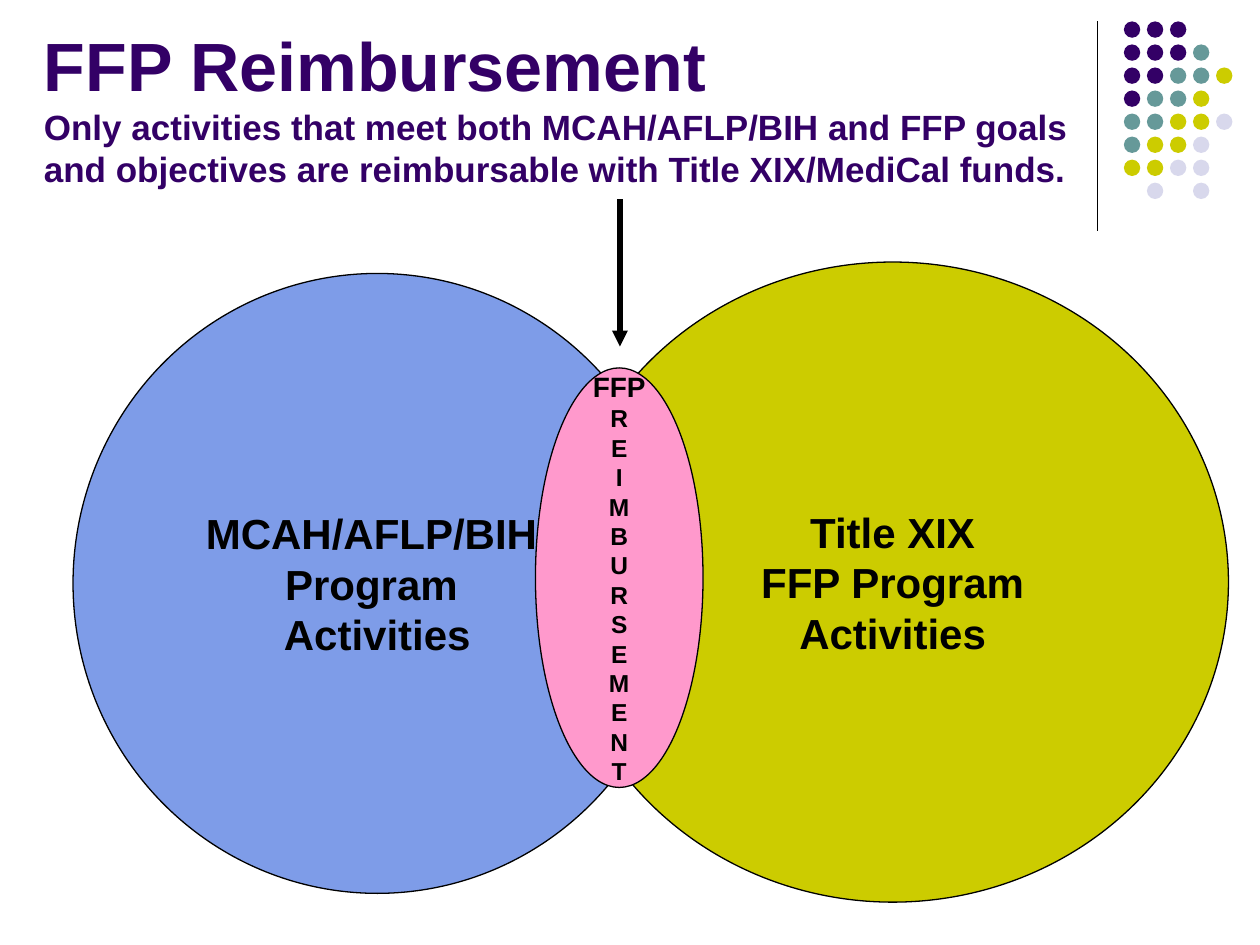
from pptx import Presentation
from pptx.dml.color import RGBColor
from pptx.enum.shapes import MSO_CONNECTOR, MSO_SHAPE
from pptx.enum.text import MSO_ANCHOR, PP_ALIGN
from pptx.oxml.ns import qn
from pptx.util import Inches, Pt
from lxml import etree

OVAL = MSO_SHAPE.OVAL
LINE = MSO_CONNECTOR.STRAIGHT
MIDDLE, BOTTOM = MSO_ANCHOR.MIDDLE, MSO_ANCHOR.BOTTOM
CENTER = PP_ALIGN.CENTER

BLACK, PURPLE, TEAL, OLIVE = "000000", "330066", "669999", "CCCC00"
LILAC, BLUE, PINK = "D8D8EC", "7E9CE8", "FF99CC"

# One letter per dot colour; a space leaves a gap
DOTS = ["PPP", "PPPT", "PPTTO", "PTTO", "TTOOL", "TOOL", "OOLL", " L L"]
HUES = {"P": PURPLE, "T": TEAL, "O": OLIVE, "L": LILAC}
STEP = 1.28 / 7


def color(code):
    return RGBColor.from_string(code)


def style(font, size, code):
    for key, value in {"name": "Arial", "size": Pt(size), "bold": True}.items():
        setattr(font, key, value)
    font.color.rgb = color(code)


def add_oval(slide, box, fill, edge=None):
    oval = slide.shapes.add_shape(OVAL, *map(Inches, box))
    oval.shadow.inherit = False
    oval.fill.solid()
    oval.fill.fore_color.rgb = color(fill)
    if edge:
        oval.line.color.rgb = color(edge)
        oval.line.width = Pt(0.75)
    else:
        oval.line.fill.background()
    return oval


def add_label(oval, rows):
    """Write centred rows of (text, size) in an oval."""
    frame = oval.text_frame
    frame.word_wrap = False
    frame.vertical_anchor = MIDDLE
    for i, (text, size) in enumerate(rows):
        para = frame.add_paragraph() if i else frame.paragraphs[0]
        para.alignment = CENTER
        run = para.add_run()
        run.text = text
        style(run.font, size, BLACK)


def add_line(slide, ends, width, arrow=False):
    line = slide.shapes.add_connector(LINE, *map(Inches, ends))
    line.line.color.rgb = color(BLACK)
    line.line.width = Pt(width)
    props = line._element.spPr
    if arrow:
        etree.SubElement(props.find(qn("a:ln")), qn("a:tailEnd"), type="triangle")
    etree.SubElement(props, qn("a:effectLst"))


def add_title(slide, box, head, body):
    frame = slide.shapes.add_textbox(*map(Inches, box)).text_frame
    frame.word_wrap = True
    frame.vertical_anchor = BOTTOM
    para = frame.paragraphs[0]
    run = para.add_run()
    run.text = head
    style(run.font, 39, PURPLE)
    para.add_line_break()
    run = para.add_run()
    run.text = body
    style(run.font, 20, PURPLE)


def add_dots(slide):
    for row, marks in enumerate(DOTS):
        for col, mark in enumerate(marks):
            if mark in HUES:
                box = (8.92 + col * STEP, 0.17 + row * STEP, 0.13, 0.13)
                add_oval(slide, box, HUES[mark])


def main():
    deck = Presentation()
    deck.slide_width, deck.slide_height = Inches(10), Inches(7.5)
    slide = deck.slides.add_slide(deck.slide_layouts[6])

    # Corner decoration
    add_line(slide, (8.71, 0.17, 8.71, 1.83), 0.75)
    add_dots(slide)

    # Title and statement
    add_title(slide, (0.25, 0.13, 8.5, 1.42), "FFP Reimbursement",
              "Only activities that meet both MCAH/AFLP/BIH and FFP goals and "
              "objectives are reimbursable with Title XIX/MediCal funds.")

    # Two program circles and their overlap
    local = add_oval(slide, (0.58, 2.17, 4.83, 4.92), BLUE, BLACK)
    add_label(local, [(text, 24) for text in ("MCAH/AFLP/BIH ", "Program ", "Activities")])
    title = add_oval(slide, (4.42, 2.08, 5.33, 5.08), OLIVE, BLACK)
    add_label(title, [(text, 24) for text in ("Title XIX", "FFP Program", "Activities")])
    shared = add_oval(slide, (4.25, 2.92, 1.33, 3.33), PINK, BLACK)
    add_label(shared, [("FFP", 16)] + [(letter, 14) for letter in "REIMBURSEMENT"])

    # Arrow from the statement to the overlap
    add_line(slide, (4.92, 1.58, 4.92, 2.75), 3, arrow=True)

    deck.save("out.pptx")


if __name__ == "__main__":
    main()
